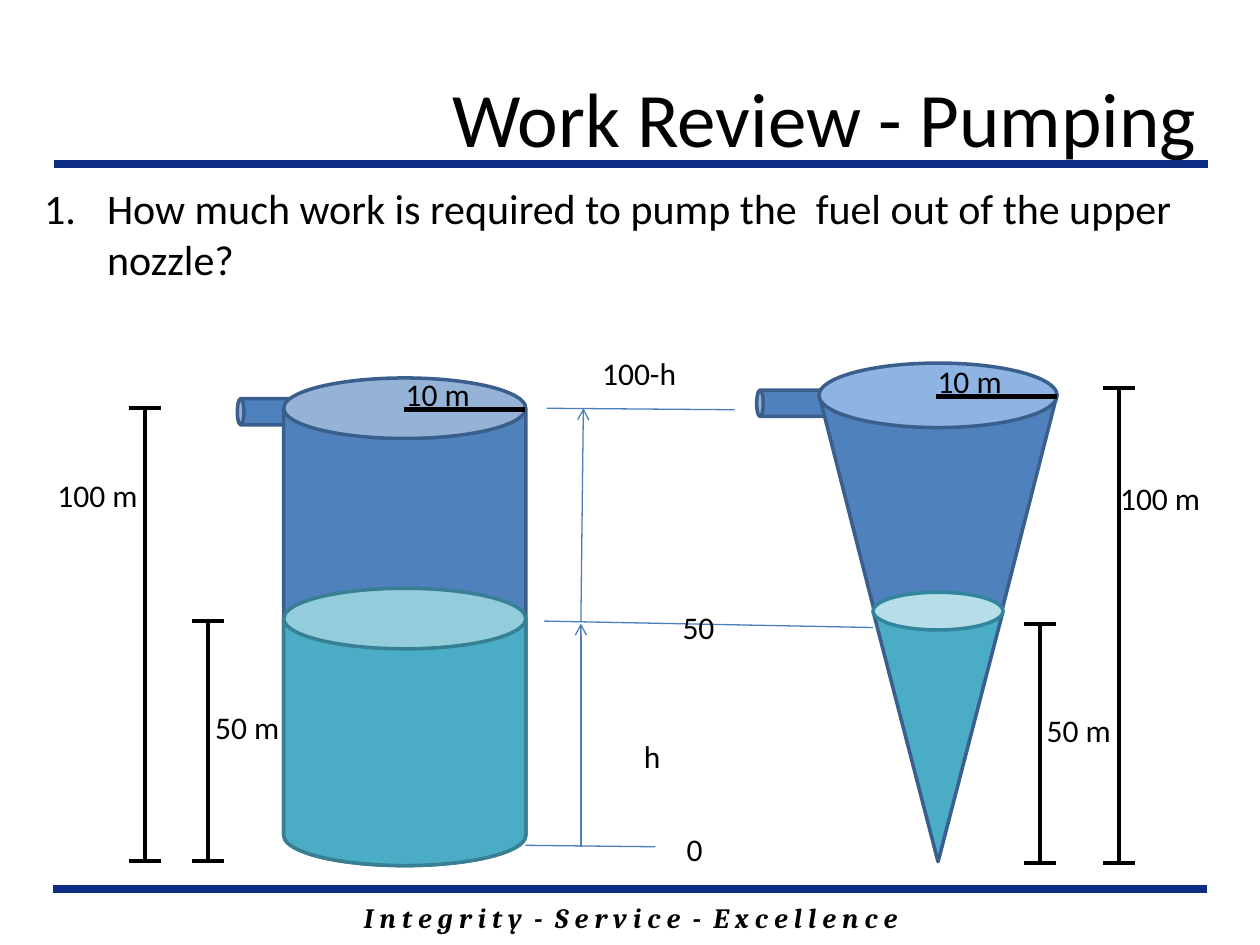
import pptx
import pptx.util
import pptx.dml.color
import pptx.enum.shapes
import pptx.enum.text
import pptx.oxml.ns
import pptx.oxml.xmlchemy

Cm = pptx.util.Cm
Pt = pptx.util.Pt
RGBColor = pptx.dml.color.RGBColor
SHAPE = pptx.enum.shapes.MSO_SHAPE
ALIGN = pptx.enum.text.PP_ALIGN
ANCHOR = pptx.enum.text.MSO_ANCHOR
new_element = pptx.oxml.xmlchemy.OxmlElement

BLACK = RGBColor(0x00, 0x00, 0x00)
NAVY = RGBColor(0x0C, 0x2D, 0x83)
TANK = RGBColor(0x4F, 0x81, 0xBD)
TANK_EDGE = RGBColor(0x3A, 0x5F, 0x8C)
TANK_LID = RGBColor(0x8E, 0xB4, 0xE3)
FUEL = RGBColor(0x4B, 0xAC, 0xC6)
FUEL_EDGE = RGBColor(0x37, 0x7F, 0x92)
FUEL_TOP = RGBColor(0xB7, 0xDE, 0xE8)
FUEL_TOP_EDGE = RGBColor(0x31, 0x85, 0x9C)
LEVEL = RGBColor(0x4B, 0x7E, 0xBC)


def add_text(slide, words, left, top, width, height=1.02, size=18, font="Calibri",
             align=ALIGN.LEFT, anchor=ANCHOR.TOP, wrap=True, emphasis=False, number=False):
    box = slide.shapes.add_textbox(Cm(left), Cm(top), Cm(width), Cm(height))
    frame = box.text_frame
    frame.word_wrap = wrap
    frame.vertical_anchor = anchor
    paragraph = frame.paragraphs[0]
    paragraph.alignment = align
    if number:
        properties = paragraph._p.get_or_add_pPr()
        properties.set("marL", str(int(Cm(1.27))))
        properties.set("indent", str(-int(Cm(1.27))))
        numbering = new_element("a:buAutoNum")
        numbering.set("type", "arabicPeriod")
        properties.append(numbering)
    run = paragraph.add_run()
    run.text = words
    run.font.name = font
    run.font.size = Pt(size)
    run.font.color.rgb = BLACK
    if emphasis:
        run.font.bold = True
        run.font.italic = True


def add_line(slide, start, end, color, weight, arrow=False):
    line = slide.shapes.add_connector(
        pptx.enum.shapes.MSO_CONNECTOR.STRAIGHT,
        Cm(start[0]), Cm(start[1]), Cm(end[0]), Cm(end[1]))
    line.line.color.rgb = color
    line.line.width = Pt(weight)
    properties = line._element.find(pptx.oxml.ns.qn("p:spPr"))
    if arrow:
        head = new_element("a:tailEnd")
        head.set("type", "arrow")
        properties.find(pptx.oxml.ns.qn("a:ln")).append(head)
    properties.append(new_element("a:effectLst"))


def add_solid(slide, kind, left, top, width, height, fill, edge, rotation=0):
    solid = slide.shapes.add_shape(kind, Cm(left), Cm(top), Cm(width), Cm(height))
    solid.shadow.inherit = False
    solid.rotation = rotation
    solid.fill.solid()
    solid.fill.fore_color.rgb = fill
    solid.line.color.rgb = edge
    solid.line.width = Pt(2)


def add_nozzle(slide, left, top):
    add_solid(slide, SHAPE.CAN, left, top, 0.53, 1.42, TANK, TANK_EDGE, 270)


def add_radius(slide, center, edge, height):
    add_line(slide, (center, height), (edge, height), BLACK, 3)
    add_text(slide, "10 m", center - 0.22, height - 0.82, 1.9)


def add_dimension(slide, x, top, bottom):
    add_line(slide, (x, top), (x, bottom), BLACK, 2.25)
    for end in (top, bottom):
        add_line(slide, (x - 0.32, end), (x + 0.32, end), BLACK, 2.25)


def add_frame(slide):
    add_text(slide, "I n t e g r i t y  -  S e r v i c e  -  E x c e l l e n c e",
             3.61, 18.03, 18.21, 0.94, size=16, font="Cambria",
             align=ALIGN.CENTER, emphasis=True)
    add_line(slide, (1.07, 17.93), (24.33, 17.93), NAVY, 4.5)
    add_line(slide, (1.09, 3.3), (24.36, 3.3), NAVY, 4.5)
    add_text(slide, "Work Review - Pumping", 4.57, 0.76, 19.81, 3.18, size=44,
             align=ALIGN.RIGHT, anchor=ANCHOR.MIDDLE)
    add_text(slide, "How much work is required to pump the  fuel out of the upper nozzle?",
             0.64, 3.56, 23.5, 3.33, size=24, number=True)


def add_cylinder(slide):
    add_nozzle(slide, 5.23, 7.59)
    add_solid(slide, SHAPE.CAN, 5.72, 7.62, 4.88, 9.83, TANK, TANK_EDGE)
    add_solid(slide, SHAPE.CAN, 5.72, 11.86, 4.88, 5.59, FUEL, FUEL_EDGE)
    add_radius(slide, 8.15, 10.59, 8.26)
    add_dimension(slide, 2.92, 8.23, 17.35)
    add_dimension(slide, 4.19, 12.52, 17.35)
    add_text(slide, "50 m", 4.09, 14.15, 1.9)
    add_text(slide, "100 m", 0.91, 9.47, 2.34)


def add_cone(slide):
    add_nozzle(slide, 15.7, 7.42)
    add_solid(slide, SHAPE.ISOSCELES_TRIANGLE, 16.51, 7.95, 4.8, 9.4, TANK, TANK_EDGE, 180)
    add_solid(slide, SHAPE.OVAL, 16.51, 7.32, 4.8, 1.3, TANK_LID, TANK_EDGE)
    add_radius(slide, 18.87, 21.31, 8)
    add_dimension(slide, 22.56, 7.82, 17.4)
    add_dimension(slide, 20.96, 12.57, 17.4)
    add_text(slide, "50 m", 20.85, 14.2, 1.9)
    add_text(slide, "100 m", 22.33, 9.53, 2.34)
    add_solid(slide, SHAPE.ISOSCELES_TRIANGLE, 17.6, 12.32, 2.62, 5.05, FUEL, TANK_EDGE, 180)
    add_solid(slide, SHAPE.OVAL, 17.6, 11.94, 2.62, 0.76, FUEL_TOP, FUEL_TOP_EDGE)


def add_levels(slide):
    for start, end, arrow in (
        ((11.02, 8.23), (14.81, 8.26), False),
        ((11.71, 12.52), (11.76, 8.23), True),
        ((10.97, 12.52), (17.6, 12.65), False),
        ((11.71, 17.07), (11.71, 12.57), True),
        ((10.59, 17.04), (13.21, 17.07), False),
    ):
        add_line(slide, start, end, LEVEL, 0.75, arrow)
    for words, left, top, width in (
        ("h", 12.73, 14.73, 0.86),
        ("100-h", 11.89, 7.01, 2.03),
        ("0", 13.59, 16.61, 0.84),
        ("50", 13.51, 12.14, 1.17),
    ):
        add_text(slide, words, left, top, width, wrap=False)


def main():
    presentation = pptx.Presentation()
    presentation.slide_width = Cm(25.4)
    presentation.slide_height = Cm(19.05)
    slide = presentation.slides.add_slide(presentation.slide_layouts[6])
    add_frame(slide)
    add_cylinder(slide)
    add_cone(slide)
    add_levels(slide)
    presentation.save("out.pptx")


if __name__ == "__main__":
    main()
